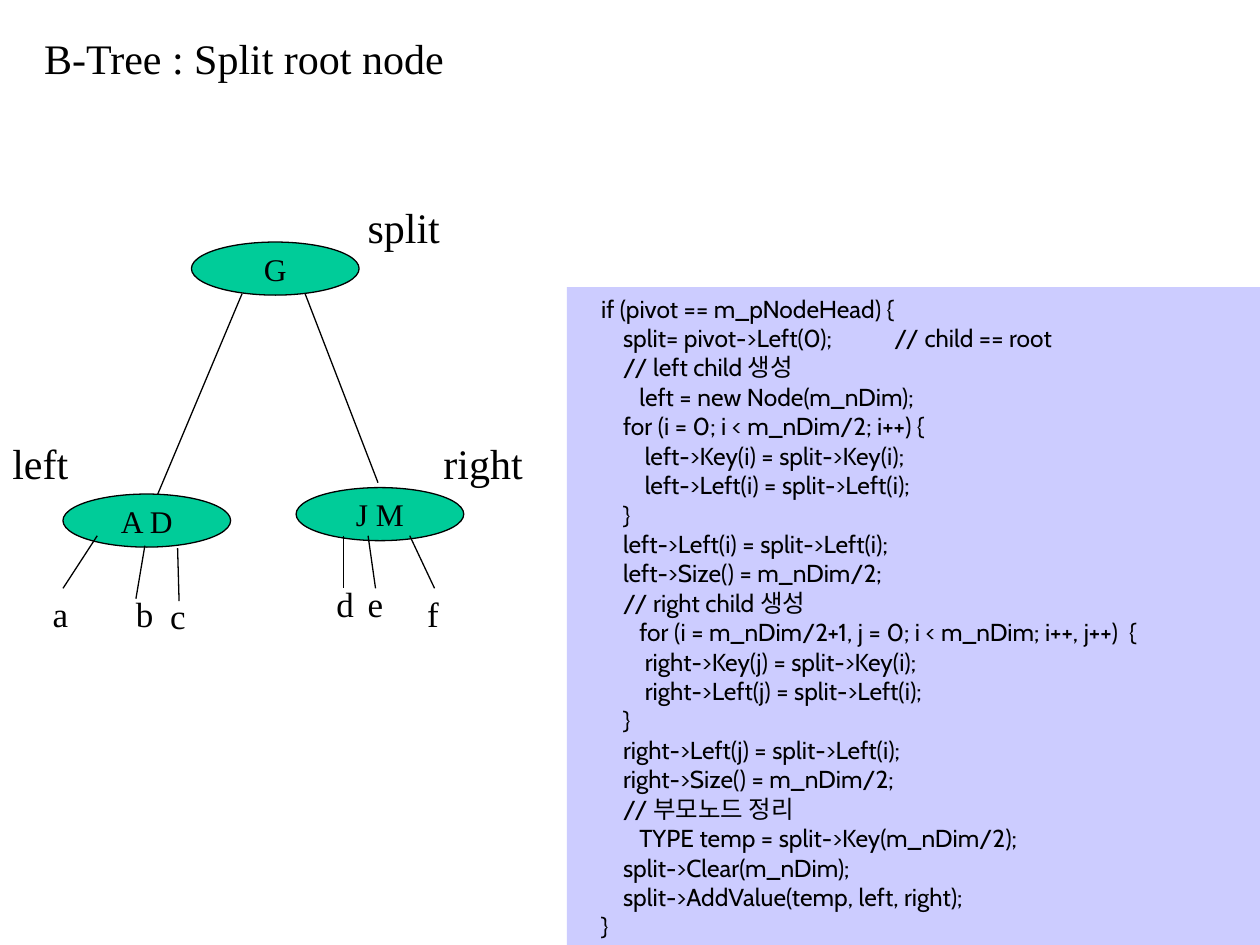
from pptx import Presentation
from pptx.dml.color import RGBColor
from pptx.enum import shapes, text
from pptx.oxml.ns import qn
from pptx.util import Cm, Pt
from lxml import etree

BLACK = RGBColor(0x00, 0x00, 0x00)
GREEN = RGBColor(0x00, 0xCC, 0x99)
LILAC = RGBColor(0xCC, 0xCC, 0xFF)
SERIF, SANS = "Times New Roman", "Cabin"
STEP = 0.44  # one code indent, cm

# Indent steps and wording of each code line
CODE = [
    (1, "if (pivot == m_pNodeHead) {"),
    (2, "split= pivot->Left(0);\t// child == root"),
    (2, "// left child 생성"),
    (2.75, "left = new Node(m_nDim);"),
    (2, "for (i = 0; i < m_nDim/2; i++) {"),
    (3, "left->Key(i) = split->Key(i);"),
    (3, "left->Left(i) = split->Left(i);"),
    (2, "}"),
    (2, "left->Left(i) = split->Left(i);"),
    (2, "left->Size() = m_nDim/2;"),
    (2, "// right child 생성"),
    (2.75, "for (i = m_nDim/2+1, j = 0; i < m_nDim; i++, j++)  {"),
    (3, "right->Key(j) = split->Key(i);"),
    (3, "right->Left(j) = split->Left(i);"),
    (2, "}"),
    (2, "right->Left(j) = split->Left(i);"),
    (2, "right->Size() = m_nDim/2;"),
    (2, "// 부모노드 정리"),
    (2.75, "TYPE temp = split->Key(m_nDim/2);"),
    (2, "split->Clear(m_nDim);"),
    (2, "split->AddValue(temp, left, right);"),
    (1, "}"),
]
NODES = [("G", 3.86, 4.88), ("J M", 5.97, 9.83), ("A D", 1.27, 9.96)]
NAMES = [("split", 7.16, 3.94, 1.96), ("right", 8.69, 8.69, 2.11),
         ("left", 0, 8.69, 1.63)]
LEAVES = [("a", 0.81, 11.81, 0.81), ("b", 2.49, 11.81, 0.86),
          ("c", 3.18, 11.86, 0.81), ("d", 6.53, 11.61, 0.86),
          ("e", 7.16, 11.61, 0.81), ("f", 8.36, 11.81, 0.74)]
EDGES = [
    (4.88, 5.92, 3.18, 9.96), (6.15, 5.92, 7.62, 9.73),
    (1.96, 10.8, 1.27, 11.86), (2.92, 11, 2.74, 12.07),
    (3.58, 11.05, 3.61, 12.12), (6.93, 10.8, 6.93, 11.86),
    (7.42, 10.8, 7.57, 11.86), (8.26, 10.8, 8.76, 11.86),
]


class Board:
    """Holds the slide and the style of its elements."""

    def __init__(self, slide):
        """Keep the slide to draw on."""
        self.slide = slide
        self.items = slide.shapes

    def run(self, para, words, size, font=SERIF):
        """Add one styled run to a paragraph."""
        run = para.add_run()
        run.text = words
        run.font.size, run.font.name = Pt(size), font
        run.font.color.rgb = BLACK

    def frame(self, shape, anchor=text.MSO_ANCHOR.TOP, wrap=False):
        """Set up a text frame and return it."""
        frame = shape.text_frame
        frame.auto_size = text.MSO_AUTO_SIZE.NONE
        frame.word_wrap, frame.vertical_anchor = wrap, anchor
        frame.margin_left = frame.margin_right = Cm(0.25)
        frame.margin_top = frame.margin_bottom = Cm(0.13)
        return frame

    def solid(self, kind, fill, *box):
        """Add a flat filled preset shape."""
        shape = self.items.add_shape(kind, *map(Cm, box))
        shape.shadow.inherit = False
        shape.fill.solid()
        shape.fill.fore_color.rgb = fill
        return shape

    def title(self, words, *box):
        """Place and fill the title."""
        shape = self.items.title
        shape.left, shape.top, shape.width, shape.height = map(Cm, box)
        para = self.frame(shape).paragraphs[0]
        para.alignment = text.PP_ALIGN.LEFT
        self.run(para, words, 24)

    def label(self, words, size, *box):
        """Add a plain text label."""
        shape = self.items.add_textbox(*map(Cm, box))
        self.run(self.frame(shape).paragraphs[0], words, size)

    def node(self, keys, left, top):
        """Add a tree node with its keys."""
        shape = self.solid(shapes.MSO_SHAPE.OVAL, GREEN, left, top, 3.38, 1.07)
        shape.line.color.rgb, shape.line.width = BLACK, Pt(0.74)
        para = self.frame(shape, text.MSO_ANCHOR.MIDDLE).paragraphs[0]
        para.alignment = text.PP_ALIGN.CENTER
        self.run(para, keys, 18)

    def edge(self, *ends):
        """Add a thin straight line."""
        line = self.items.add_connector(shapes.MSO_CONNECTOR.STRAIGHT,
                                        *map(Cm, ends))
        line.line.color.rgb, line.line.width = BLACK, Pt(0.74)
        etree.SubElement(line._element.spPr, qn("a:effectLst"))

    def code(self, lines, *box):
        """Add the code panel, one paragraph a line."""
        shape = self.solid(shapes.MSO_SHAPE.RECTANGLE, LILAC, *box)
        shape.line.fill.background()
        frame = self.frame(shape, wrap=True)
        for row, (depth, words) in enumerate(lines):
            para = frame.add_paragraph() if row else frame.paragraphs[0]
            para.alignment = text.PP_ALIGN.LEFT
            props = para._p.get_or_add_pPr()
            props.set("marL", "0")
            props.set("indent", str(Cm(depth * STEP)))
            if "\t" in words:
                tabs = etree.SubElement(props, qn("a:tabLst"))
                etree.SubElement(tabs, qn("a:tab"), pos=str(Cm(7.62)), algn="l")
            self.run(para, words, 14, SANS)


def main():
    """Build the slide and save it."""
    deck = Presentation()
    deck.slide_width, deck.slide_height = Cm(25.4), Cm(19.05)
    board = Board(deck.slides.add_slide(deck.slide_layouts[5]))
    board.title("B-Tree : Split root node", 0.64, 0.53, 8.59, 1.27)
    board.code(CODE, 11.43, 5.79, 13.97, 13.31)
    for node in NODES:
        board.node(*node)
    for size, high, group in ((24, 1.27, NAMES), (20, 1.12, LEAVES)):
        for words, left, top, wide in group:
            board.label(words, size, left, top, wide, high)
    for ends in EDGES:
        board.edge(*ends)
    deck.save("out.pptx")


main()
